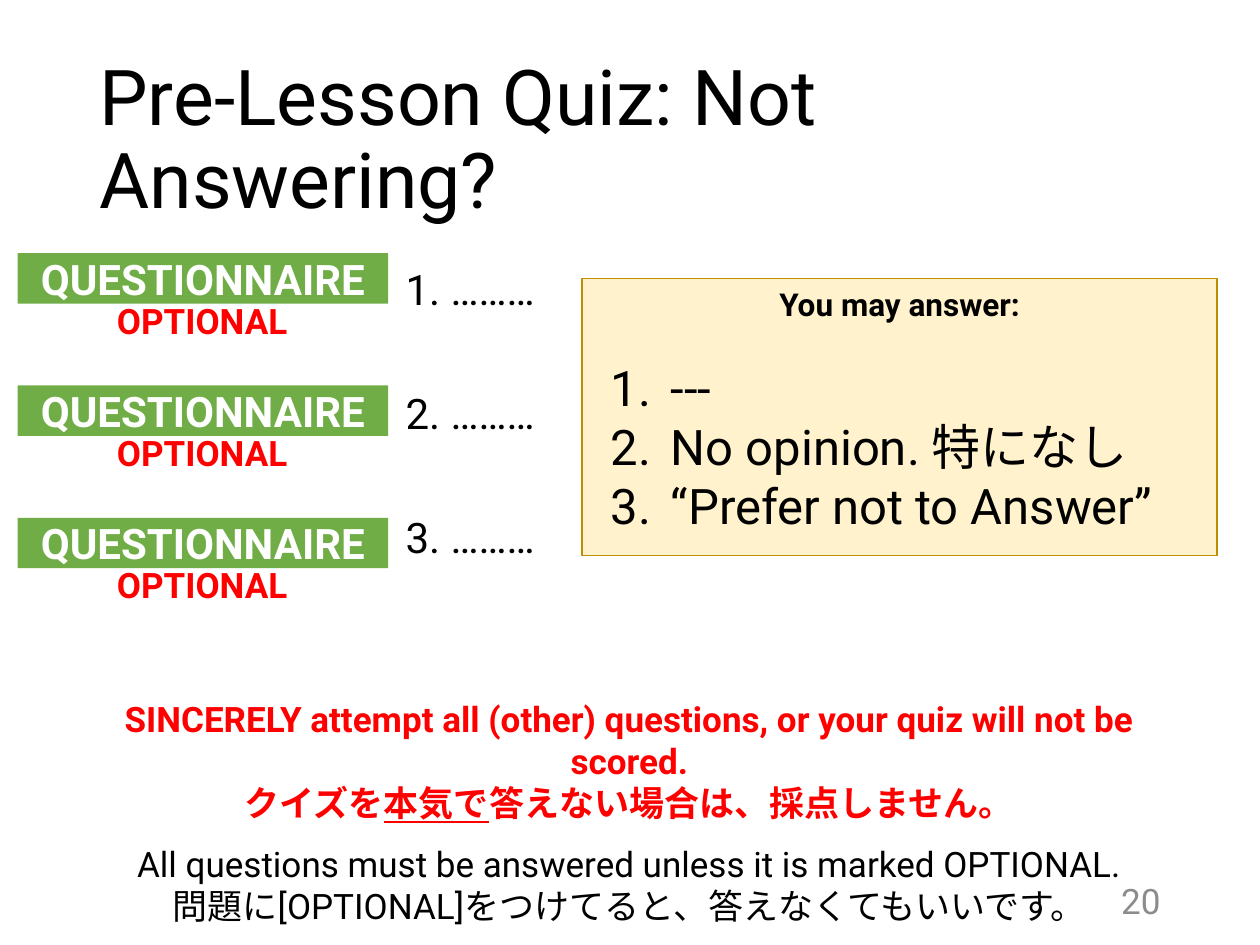
"""Build the quiz slide explaining how optional questions may be answered."""
from dataclasses import dataclass

from lxml.etree import SubElement
from pptx import Presentation
from pptx.dml.color import RGBColor as Color
from pptx.enum.shapes import MSO_SHAPE as Shape
from pptx.enum.text import MSO_ANCHOR as Anchor, MSO_AUTO_SIZE as AutoSize, PP_ALIGN as Align
from pptx.oxml.ns import qn
from pptx.util import Inches, Pt


@dataclass(frozen=True)
class Theme:
    font: str = "Roboto"
    black: str = "000000"
    white: str = "FFFFFF"
    grey: str = "8C8C8C"
    red: str = "FF0000"
    green: str = "70AD47"
    cream: str = "FFF2CC"
    gold: str = "BD8E00"
    title: int = 44
    answer: int = 28
    label: int = 24
    body: int = 20
    heading: int = 18


class SlideBuilder:
    def __init__(self, slide, theme):
        self.slide = slide
        self.theme = theme

    def fill_text(self, shape, paragraphs, size, color, bold=False, anchor=Anchor.TOP,
                  wrap=True, auto_size=AutoSize.NONE, **paragraph_format):
        frame = shape.text_frame
        settings = {"word_wrap": wrap, "auto_size": auto_size, "vertical_anchor": anchor}
        for name, value in settings.items():
            setattr(frame, name, value)
        for index, runs in enumerate(paragraphs):
            paragraph = frame.add_paragraph() if index else frame.paragraphs[0]
            for name, value in paragraph_format.items():
                setattr(paragraph, name, value)
            for text, underline in [(runs, False)] if isinstance(runs, str) else runs:
                run = paragraph.add_run()
                run.text = text
                values = {"name": self.theme.font, "size": Pt(size), "bold": bold}
                if underline:
                    values["underline"] = True
                for name, value in values.items():
                    setattr(run.font, name, value)
                run.font.color.rgb = Color.from_string(color)
        return frame.paragraphs

    def text(self, box, paragraphs, size, color, **text_format):
        shape = self.slide.shapes.add_textbox(*map(Inches, box))
        return self.fill_text(shape, paragraphs, size, color, **text_format)

    def panel(self, box, fill, paragraphs, size, color, line=None, **text_format):
        shape = self.slide.shapes.add_shape(Shape.RECTANGLE, *map(Inches, box))
        shape.shadow.inherit = False
        shape.fill.solid()
        shape.fill.fore_color.rgb = Color.from_string(fill)
        if line:
            shape.line.color.rgb = Color.from_string(line)
            shape.line.width = Pt(1)
        else:
            shape.line.fill.background()
        self.fill_text(shape, paragraphs, size, color, alignment=Align.CENTER, **text_format)

    def numbered_list(self, box, items, size, color, indent):
        for paragraph in self.text(box, items, size, color):
            properties = paragraph._p.get_or_add_pPr()
            properties.set("marL", str(Inches(indent)))
            properties.set("indent", str(-Inches(indent)))
            SubElement(properties, qn("a:buAutoNum"), type="arabicPeriod")


def main():
    theme = Theme()
    presentation = Presentation()
    presentation.slide_width, presentation.slide_height = Inches(10), Inches(7.5)
    slide = presentation.slides.add_slide(presentation.slide_layouts[6])
    builder = SlideBuilder(slide, theme)

    builder.text((0.69, 0.4, 8.62, 1.45), ["Pre-Lesson Quiz: Not Answering?"],
                 theme.title, theme.black, anchor=Anchor.MIDDLE, line_spacing=0.9)
    builder.text((7.06, 6.95, 2.25, 0.4), ["20"], theme.body, theme.grey,
                 anchor=Anchor.MIDDLE, alignment=Align.RIGHT)

    first_top, row_step = 2.01, 1.05
    for row in range(3):
        top = first_top + row * row_step
        builder.panel((0.14, top, 2.94, 0.4), theme.green, ["QUESTIONNAIRE"],
                      theme.label, theme.white, bold=True, anchor=Anchor.MIDDLE)
        builder.text((0.72, top + 0.33, 1.77, 0.4), ["OPTIONAL"], theme.body, theme.red,
                     bold=True, anchor=Anchor.MIDDLE, alignment=Align.CENTER)
    builder.text((3.12, 2.04, 1.25, 2.49), [f"{number}. ………" for number in (1, 2, 3)],
                 theme.label, theme.black, wrap=False,
                 auto_size=AutoSize.SHAPE_TO_FIT_TEXT, space_before=Pt(42))

    builder.panel((4.62, 2.21, 5.04, 2.2), theme.cream, ["You may answer:"],
                  theme.heading, theme.black, line=theme.gold, bold=True)
    answers = [" ---", " No opinion. 特になし", " “Prefer not to Answer”"]
    builder.numbered_list((4.75, 2.79, 4.74, 1.51), answers, theme.answer, theme.black, 0.38)

    warning = ["SINCERELY attempt all (other) questions, or your quiz will not be scored.",
               [("クイズを", False), ("本気で", True), ("答えない場合は、採点しません。", False)]]
    builder.text((0.51, 5.49, 8.97, 1.1), warning, theme.body, theme.red,
                 bold=True, alignment=Align.CENTER)
    rule = ["All questions must be answered unless it is marked OPTIONAL.",
            "問題に[OPTIONAL]をつけてると、答えなくてもいいです。"]
    builder.text((0.51, 6.64, 8.97, 0.77), rule, theme.body, theme.black,
                 alignment=Align.CENTER)

    presentation.save("out.pptx")


if __name__ == "__main__":
    main()
